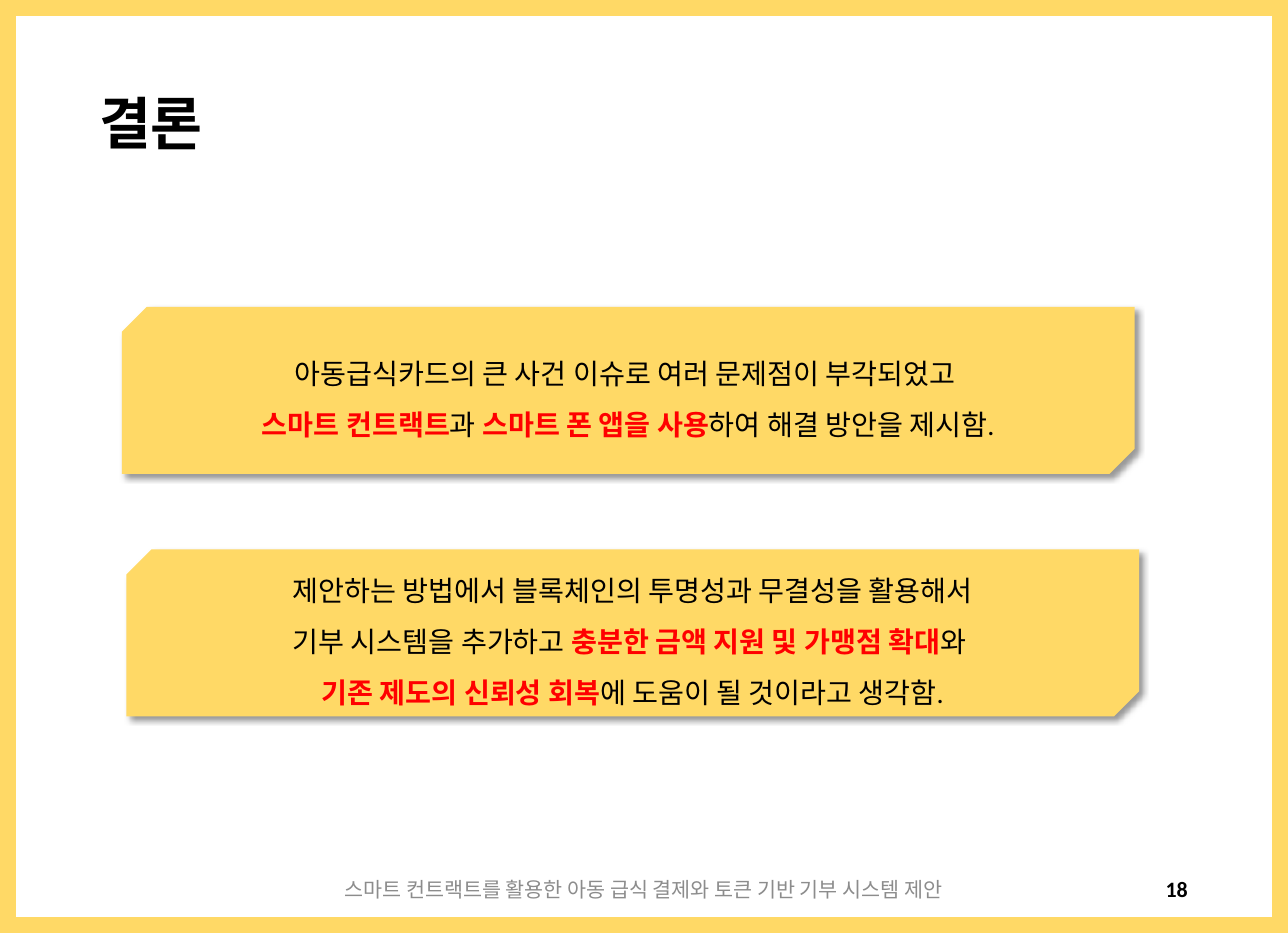
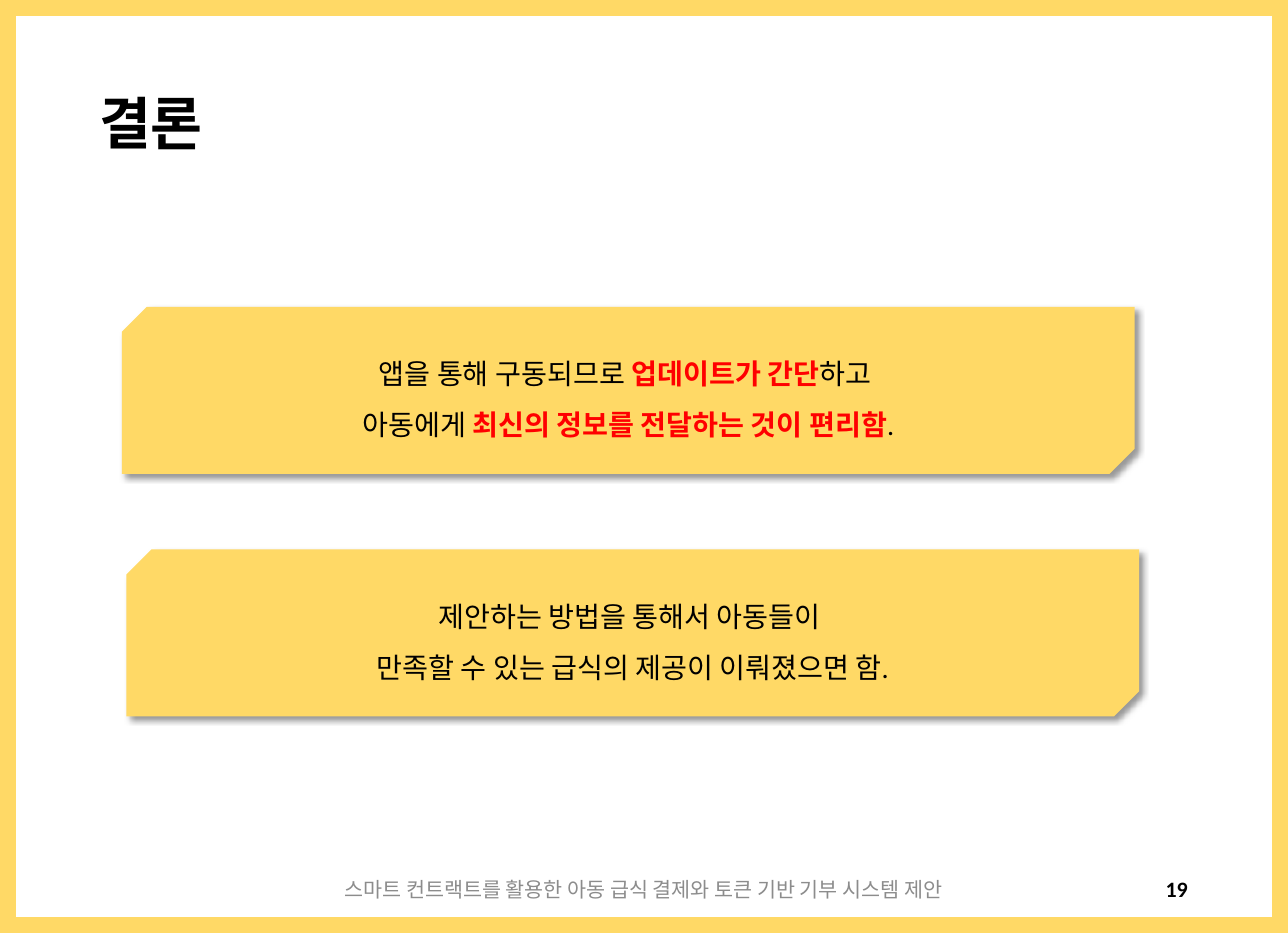
"""Build the two conclusion slides of the child meal payment talk."""
from dataclasses import dataclass
from typing import NamedTuple

from lxml.etree import SubElement
from pptx import Presentation
from pptx.dml.color import RGBColor
from pptx.enum.shapes import MSO_SHAPE
from pptx.enum.text import MSO_ANCHOR, PP_ALIGN
from pptx.oxml.ns import qn
from pptx.util import Inches, Pt


@dataclass(frozen=True)
class Theme:
    yellow: RGBColor = RGBColor(0xFF, 0xD9, 0x66)
    ink: RGBColor = RGBColor(0, 0, 0)
    red: RGBColor = RGBColor(0xFF, 0, 0)
    gray: RGBColor = RGBColor(0x8C, 0x8C, 0x8C)
    latin: str = "Calibri"
    korean: str = "Noto Sans CJK KR"
    title_size: float = 36
    body_size: float = 18
    number_size: float = 14
    footer_size: float = 13.2


class Area(NamedTuple):
    left: float
    top: float
    width: float
    height: float


class Span(NamedTuple):
    text: str
    strong: bool = False


class Style(NamedTuple):
    size: float
    color: RGBColor
    font: str
    bold: bool = False
    align: PP_ALIGN = PP_ALIGN.LEFT
    spacing: float = 1.0


Line = tuple[Span, ...]
Card = tuple[Line, ...]


@dataclass(frozen=True)
class Conclusion:
    number: int
    cards: tuple[Card, ...]


THEME = Theme()
WIDTH, HEIGHT = Inches(11.42), Inches(8.27)

TITLE_AREA = Area(6.83, 8.46, 43.08, 10.04)
FIRST_CARD = Area(9.46, 32.89, 78.63, 17.9)
CARD_STEP_X, CARD_STEP_Y = 0.35, 26
NUMBER_AREA = Area(70.58, 92.62, 22.5, 5.32)
FOOTER_AREA = Area(23.2, 92.62, 53.5, 5.32)

TITLE_STYLE = Style(THEME.title_size, THEME.ink, THEME.korean, bold=True, spacing=0.9)
CARD_STYLE = Style(THEME.body_size, THEME.ink, THEME.latin, align=PP_ALIGN.CENTER, spacing=1.5)
NUMBER_STYLE = Style(THEME.number_size, THEME.ink, THEME.latin, bold=True, align=PP_ALIGN.RIGHT)
FOOTER_STYLE = Style(THEME.footer_size, THEME.gray, THEME.latin, align=PP_ALIGN.CENTER)

TITLE = "결론"
FOOTER = "스마트 컨트랙트를 활용한 아동 급식 결제와 토큰 기반 기부 시스템 제안"
CONCLUSIONS = (
    Conclusion(18, (
        (
            (Span("아동급식카드의 큰 사건 이슈로 여러 문제점이 부각되었고 "),),
            (Span("스마트 컨트랙트", True), Span("과 "),
             Span("스마트 폰 앱을 사용", True), Span("하여 해결 방안을 제시함.")),
        ),
        (
            (Span("제안하는 방법에서 블록체인의 투명성과 무결성을 활용해서"),),
            (Span("기부 시스템을 추가하고 "),
             Span("충분한 금액 지원 및 가맹점 확대", True), Span("와 ")),
            (Span("기존 제도의 신뢰성 회복", True), Span("에 도움이 될 것이라고 생각함.")),
        ),
    )),
    Conclusion(19, (
        (
            (Span("앱을 통해 구동되므로 "), Span("업데이트가 간단", True), Span("하고 ")),
            (Span("아동에게 "), Span("최신의 정보를 전달하는 것이 편리함", True), Span(".")),
        ),
        (
            (Span("제안하는 방법을 통해서 아동들이 "),),
            (Span("만족할 수 있는 급식의 제공이 이뤄졌으면 함."),),
        ),
    )),
)


def place(area: Area) -> tuple[int, int, int, int]:
    """Turn percentages of the slide into lengths."""
    return (round(WIDTH * area.left / 100), round(HEIGHT * area.top / 100),
            round(WIDTH * area.width / 100), round(HEIGHT * area.height / 100))


def write(frame, lines: Card, style: Style) -> None:
    """Fill a text frame with lines, marking the strong spans."""
    frame.word_wrap = True
    frame.vertical_anchor = MSO_ANCHOR.MIDDLE
    for index, line in enumerate(lines):
        paragraph = frame.add_paragraph() if index else frame.paragraphs[0]
        paragraph.alignment = style.align
        paragraph.line_spacing = style.spacing
        font = paragraph.font
        font.size, font.name, font.bold = Pt(style.size), style.font, style.bold
        font.color.rgb = style.color
        defaults = paragraph._p.get_or_add_pPr().get_or_add_defRPr()
        SubElement(defaults, qn("a:ea"), typeface=THEME.korean)
        for span in line:
            run = paragraph.add_run()
            run.text = span.text
            if span.strong:
                run.font.bold = True
                run.font.color.rgb = THEME.red


def add_label(slide, area: Area, text: str, style: Style) -> None:
    """Add one line of text without a fill."""
    write(slide.shapes.add_textbox(*place(area)).text_frame, ((Span(text),),), style)


def add_yellow(slide, kind: MSO_SHAPE, area: Area, cut: float):
    """Add a yellow preset shape without outline or shadow."""
    shape = slide.shapes.add_shape(kind, *place(area))
    shape.adjustments[0] = cut
    shape.fill.solid()
    shape.fill.fore_color.rgb = THEME.yellow
    shape.line.fill.background()
    shape.shadow.inherit = False
    return shape


def add_card(slide, area: Area, lines: Card) -> None:
    """Add a snipped card with a soft shadow to the lower right."""
    card = add_yellow(slide, MSO_SHAPE.SNIP_2_DIAG_RECTANGLE, area, 0.15)
    card.adjustments[1] = 0
    effects = card._element.spPr.find(qn("a:effectLst"))
    shadow = SubElement(effects, qn("a:outerShdw"), blurRad=str(Pt(4)), dist=str(Pt(3)),
                        dir=str(45 * 60000), algn="tl", rotWithShape="0")
    color = SubElement(shadow, qn("a:srgbClr"), val=str(THEME.ink))
    SubElement(color, qn("a:alpha"), val="40000")
    write(card.text_frame, lines, CARD_STYLE)


def add_conclusion(deck, conclusion: Conclusion) -> None:
    """Add a framed slide with title, cards, number and footer."""
    slide = deck.slides.add_slide(deck.slide_layouts[6])
    add_yellow(slide, MSO_SHAPE.FRAME, Area(0, 0, 100, 100), 0.017)
    add_label(slide, TITLE_AREA, TITLE, TITLE_STYLE)
    for index, lines in enumerate(conclusion.cards):
        area = FIRST_CARD._replace(left=FIRST_CARD.left + index * CARD_STEP_X,
                                   top=FIRST_CARD.top + index * CARD_STEP_Y)
        add_card(slide, area, lines)
    add_label(slide, NUMBER_AREA, str(conclusion.number), NUMBER_STYLE)
    add_label(slide, FOOTER_AREA, FOOTER, FOOTER_STYLE)


def main() -> None:
    """Build and save the deck."""
    deck = Presentation()
    deck.slide_width, deck.slide_height = WIDTH, HEIGHT
    for conclusion in CONCLUSIONS:
        add_conclusion(deck, conclusion)
    deck.save("out.pptx")


if __name__ == "__main__":
    main()
